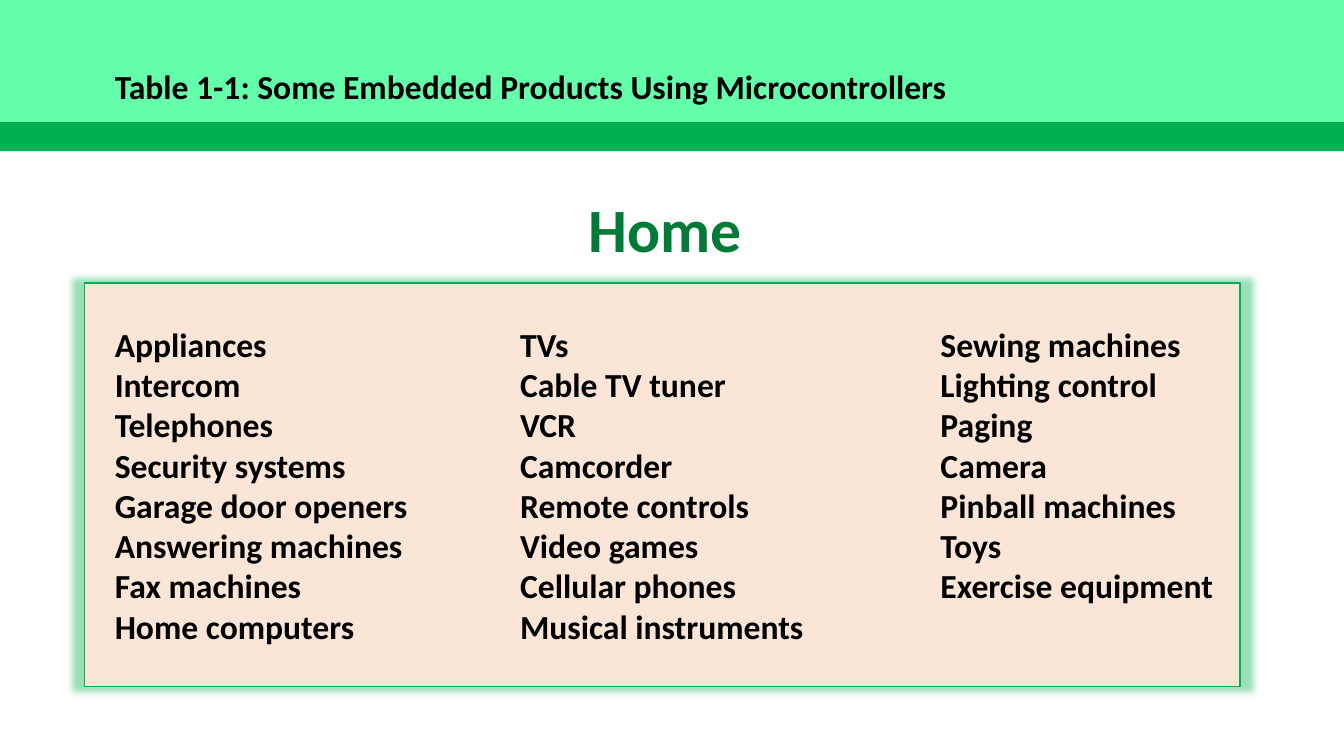
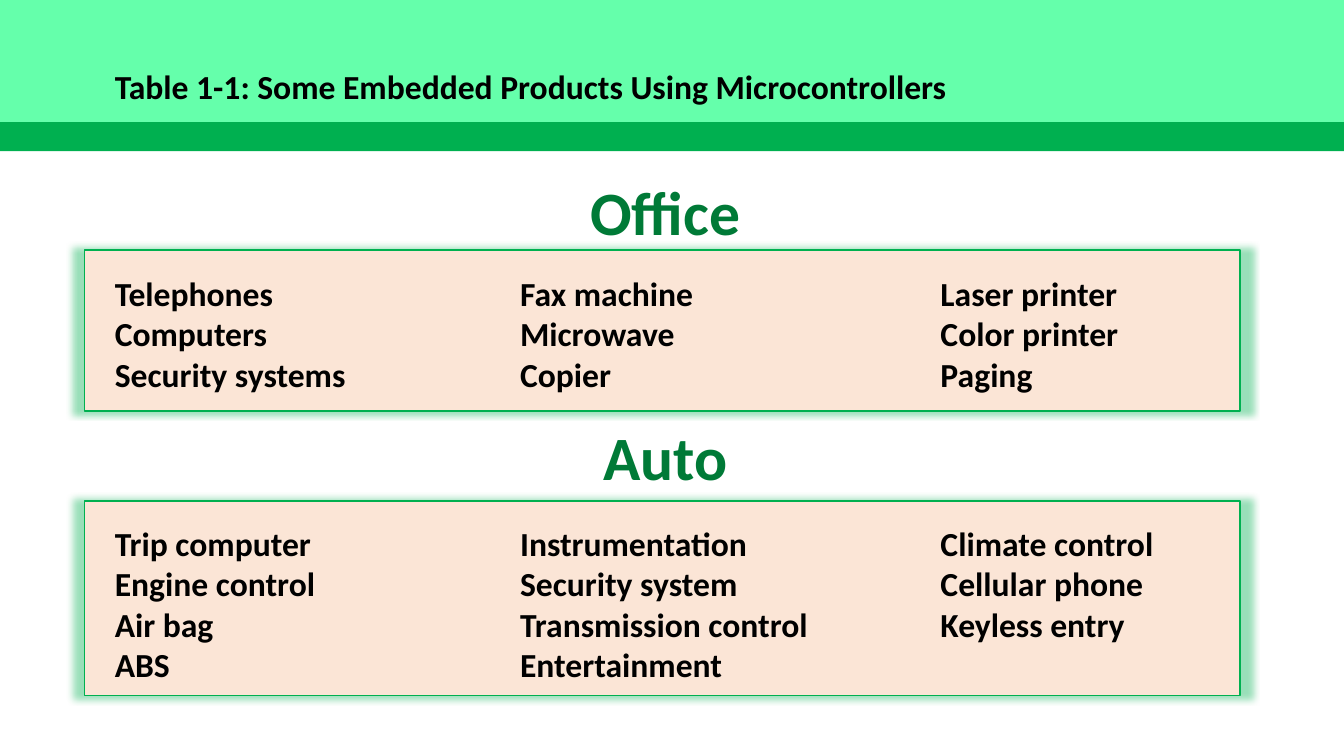
from lxml import etree
from pptx import Presentation
from pptx.dml.color import RGBColor
from pptx.enum import shapes, text
from pptx.oxml.ns import qn
from pptx.util import Inches, Pt

# Content: each group has a name, its three columns, and the tops and height
TITLE = "Table 1-1: Some Embedded Products Using Microcontrollers"
SLIDES = [
    [
        dict(name="Home", head=1.84, panel=2.81, tall=4, list=3.16, cols=[
            ["Appliances", "Intercom", "Telephones", "Security systems",
             "Garage door openers", "Answering machines", "Fax machines",
             "Home computers"],
            ["TVs", "Cable TV tuner", "VCR", "Camcorder", "Remote controls",
             "Video games", "Cellular phones", "Musical instruments"],
            ["Sewing machines", "Lighting control", "Paging", "Camera",
             "Pinball machines", "Toys", "Exercise equipment"],
        ]),
    ],
    [
        dict(name="Office", head=1.68, panel=2.48, tall=1.6, list=2.66, cols=[
            ["Telephones", "Computers", "Security systems"],
            ["Fax machine", "Microwave", "Copier"],
            ["Laser printer", "Color printer", "Paging"],
        ]),
        dict(name="Auto", head=4.11, panel=4.97, tall=1.93, list=5.14, cols=[
            ["Trip computer", "Engine control", "Air bag", "ABS"],
            ["Instrumentation", "Security system", "Transmission control",
             "Entertainment"],
            ["Climate control", "Cellular phone", "Keyless entry"],
        ]),
    ],
]

# Shared style
FONT = "Calibri"
BLACK = RGBColor(0x00, 0x00, 0x00)
GREEN = RGBColor(0x00, 0xB0, 0x50)
MINT = RGBColor(0x65, 0xFF, 0xAB)
DARK = RGBColor(0x00, 0x7A, 0x37)
PEACH = RGBColor(0xFB, 0xE5, 0xD6)
WIDE, HIGH = 13.33, 7.5
LEFT = 1.04
COLS = [(LEFT, 3.35), (5.06, 3.49), (9.23, 3.07)]
LINE, PAD = 0.4, 0.1


def add_rect(slide, x, y, w, h, fill):
    rect = slide.shapes.add_shape(
        shapes.MSO_SHAPE.RECTANGLE, *map(Inches, (x, y, w, h)))
    rect.shadow.inherit = False
    rect.fill.solid()
    rect.fill.fore_color.rgb = fill
    rect.line.fill.background()
    return rect


def add_text(slide, x, y, w, h, lines, size=24, color=BLACK, align=None):
    box = slide.shapes.add_textbox(*map(Inches, (x, y, w, h)))
    frame = box.text_frame
    frame.word_wrap = True
    frame.auto_size = text.MSO_AUTO_SIZE.SHAPE_TO_FIT_TEXT
    frame.text = "\n".join(lines)
    for para in frame.paragraphs:
        para.alignment = align
        for run in para.runs:
            font = run.font
            font.name, font.size, font.bold = FONT, Pt(size), True
            font.color.rgb = color


def add_glow(shape):
    # Soft shadow, slightly larger than the shape and centred on it
    effects = shape._element.spPr.find(qn("a:effectLst"))
    outer = etree.SubElement(
        effects, qn("a:outerShdw"), blurRad=str(Pt(5)), sx="102000",
        sy="102000", algn="ctr", rotWithShape="0")
    color = etree.SubElement(outer, qn("a:srgbClr"), val=str(GREEN))
    etree.SubElement(color, qn("a:alpha"), val="40000")


def add_header(slide):
    add_rect(slide, 0, 0, WIDE, 1.5, GREEN)
    add_rect(slide, 0, 0, WIDE, 1.21, MINT)
    add_text(slide, LEFT, 0.6, 11.26, 0.5, [TITLE])


def add_group(slide, group):
    panel = add_rect(slide, 0.84, group["panel"], 11.46, group["tall"], PEACH)
    panel.line.color.rgb = GREEN
    panel.line.width = Pt(1)
    add_glow(panel)
    for (x, w), items in zip(COLS, group["cols"]):
        tall = LINE * len(items) + PAD
        add_text(slide, x, group["list"], w, tall, items)
    add_text(slide, LEFT, group["head"], 11.12, 0.84, [group["name"]],
             44, DARK, text.PP_ALIGN.CENTER)


def main():
    deck = Presentation()
    deck.slide_width, deck.slide_height = Inches(WIDE), Inches(HIGH)
    for groups in SLIDES:
        slide = deck.slides.add_slide(deck.slide_layouts[6])
        add_header(slide)
        for group in groups:
            add_group(slide, group)
    deck.save("out.pptx")


if __name__ == "__main__":
    main()
